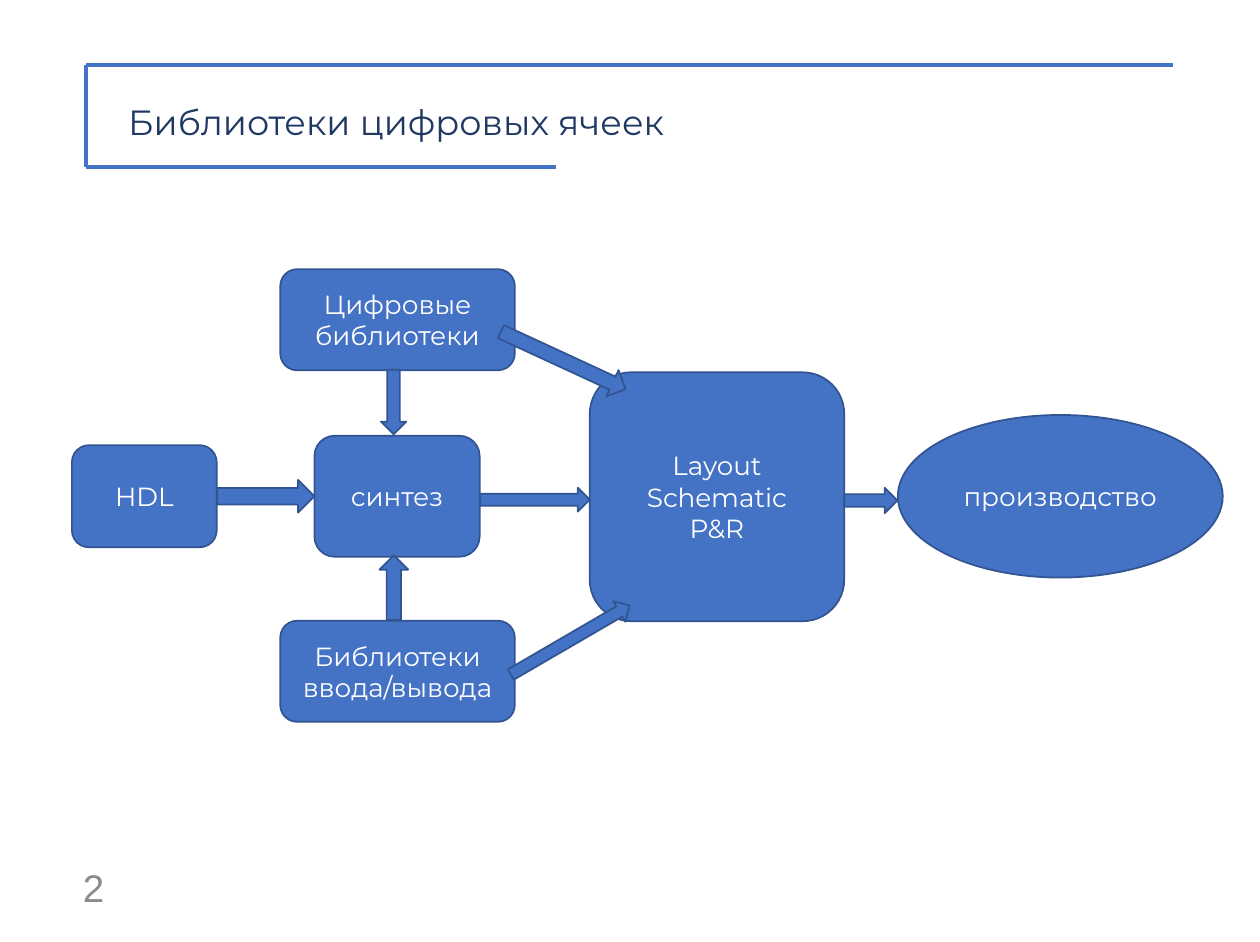
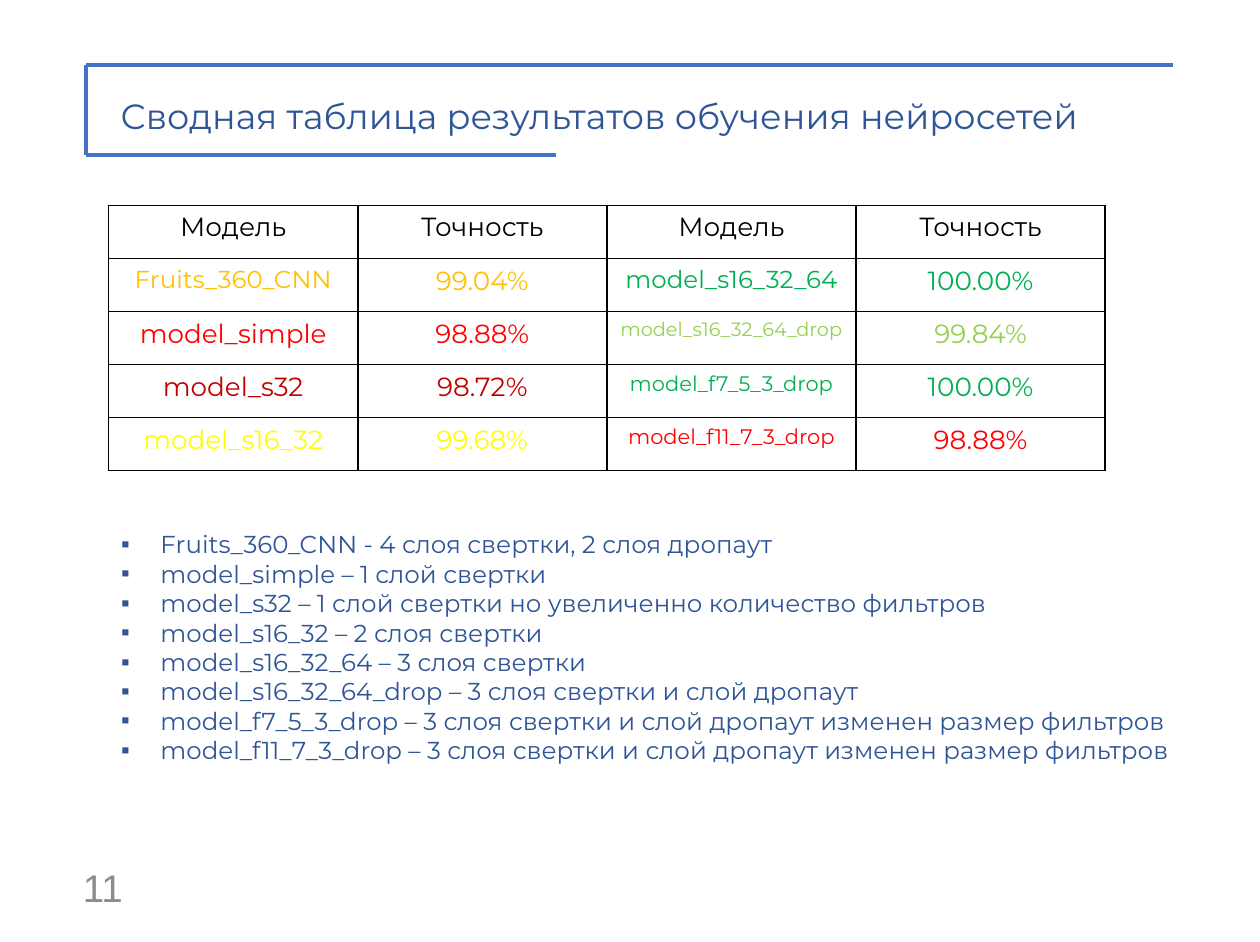
import pptx
import pptx.dml.color
import pptx.enum.shapes
import pptx.enum.text
import pptx.oxml
import pptx.oxml.ns
import pptx.util
from lxml import etree

Cm, Pt = pptx.util.Cm, pptx.util.Pt
RGBColor = pptx.dml.color.RGBColor
SHAPES = pptx.enum.shapes.MSO_SHAPE
ALIGN = pptx.enum.text.PP_ALIGN
ANCHOR = pptx.enum.text.MSO_ANCHOR
qn = pptx.oxml.ns.qn

# Shared look
FONT, NUMBER_FONT = "Montserrat", "Arial"
BLUE = RGBColor(0x44, 0x72, 0xC4)
OUTLINE = RGBColor(0x32, 0x54, 0x91)
NAVY = RGBColor(0x20, 0x38, 0x64)
TEXT_BLUE = RGBColor(0x2F, 0x55, 0x97)
GREY = RGBColor(0x8C, 0x8C, 0x8C)
WHITE = RGBColor(0xFF, 0xFF, 0xFF)
BLACK = RGBColor(0x00, 0x00, 0x00)
AMBER = RGBColor(0xFF, 0xC0, 0x00)
RED = RGBColor(0xFF, 0x00, 0x00)
DARK_RED = RGBColor(0xC0, 0x00, 0x00)
YELLOW = RGBColor(0xFF, 0xFF, 0x00)
GREEN = RGBColor(0x00, 0xB0, 0x50)
LIME = RGBColor(0x92, 0xD0, 0x50)

# Flow chart: shape, (left, top, width, height) in cm, lines of text
LIBRARY_SIZE = (4.73, 2.04)
BLOCKS = [
    (SHAPES.ROUNDED_RECTANGLE, (1.45, 8.98, 2.92, 2.06), ["HDL"]),
    (SHAPES.ROUNDED_RECTANGLE, (6.34, 8.79, 3.33, 2.44), ["синтез"]),
    (SHAPES.ROUNDED_RECTANGLE, (5.65, 5.43, *LIBRARY_SIZE), ["Цифровые библиотеки"]),
    (SHAPES.ROUNDED_RECTANGLE, (5.65, 12.52, *LIBRARY_SIZE), ["Библиотеки ввода/вывода"]),
    (SHAPES.ROUNDED_RECTANGLE, (11.89, 7.51, 5.13, 5.02), ["Layout", "Schematic", "P&R"]),
    (SHAPES.OVAL, (18.1, 8.37, 6.55, 3.28), ["производство"]),
]
# Arrows: shape, place in cm, rotation in degrees
ARROWS = [
    (SHAPES.DOWN_ARROW, (7.68, 7.46, 0.51, 1.3), 0),
    (SHAPES.UP_ARROW, (7.65, 11.2, 0.58, 1.3), 0),
    (SHAPES.RIGHT_ARROW, (4.38, 9.68, 1.96, 0.66), 0),
    (SHAPES.RIGHT_ARROW, (9.97, 6.98, 2.77, 0.58), 24.8),
    (SHAPES.RIGHT_ARROW, (10.11, 12.67, 2.77, 0.48), 329.8),
    (SHAPES.RIGHT_ARROW, (9.68, 9.84, 2.21, 0.48), 0),
    (SHAPES.RIGHT_ARROW, (17.02, 9.84, 1.07, 0.51), 0),
]

# Results: model, name size, accuracy, colour; two models to a table row
HEADER = ("Модель", 15, "Точность", BLACK)
RESULTS = [
    (HEADER, HEADER),
    (("Fruits_360_CNN", 14, "99.04%", AMBER), ("model_s16_32_64", 14, "100.00%", GREEN)),
    (("model_simple", 15, "98.88%", RED), ("model_s16_32_64_drop", 11, "99.84%", LIME)),
    (("model_s32", 15, "98.72%", DARK_RED), ("model_f7_5_3_drop", 12, "100.00%", GREEN)),
    (("model_s16_32", 15, "99.68%", YELLOW), ("model_f11_7_3_drop", 12, "98.88%", RED)),
]
MODEL_NOTES = [
    "Fruits_360_CNN - 4 слоя свертки, 2 слоя дропаут",
    "model_simple – 1 слой свертки",
    "model_s32 – 1 слой свертки но увеличенно количество фильтров",
    "model_s16_32 – 2 слоя свертки",
    "model_s16_32_64 – 3 слоя свертки",
    "model_s16_32_64_drop – 3 слоя свертки и слой дропаут",
    "model_f7_5_3_drop – 3 слоя свертки и слой дропаут изменен размер фильтров",
    "model_f11_7_3_drop – 3 слоя свертки и слой дропаут изменен размер фильтров",
]


def in_cm(place):
    return [Cm(length) for length in place]


def write(frame, lines, size, color, align=ALIGN.LEFT, font=FONT):
    for index, line in enumerate(lines):
        para = frame.paragraphs[0] if index == 0 else frame.add_paragraph()
        para.alignment = align
        span = para.add_run()
        span.text = line
        span.font.name = font
        span.font.size = Pt(size)
        span.font.color.rgb = color


def fill_placeholder(box, place, lines, size, color, wrap):
    box.left, box.top, box.width, box.height = in_cm(place)
    frame = box.text_frame
    frame.auto_size = pptx.enum.text.MSO_AUTO_SIZE.NONE
    frame.word_wrap = wrap
    frame.vertical_anchor = ANCHOR.TOP
    write(frame, lines, size, color)


def add_rule(page, start, end):
    rule = page.shapes.add_connector(
        pptx.enum.shapes.MSO_CONNECTOR.STRAIGHT, *in_cm(start + end))
    rule.line.color.rgb = BLUE
    rule.line.width = Pt(2.25)
    etree.SubElement(rule.element.spPr, qn("a:effectLst"))


def add_page(deck, layout, title, title_place, title_color, frame_bottom, number):
    page = deck.slides.add_slide(deck.slide_layouts[layout])
    # Page number
    box = page.shapes.add_textbox(*in_cm((1.47, 17.39, 1.68, 1.02)))
    box.text_frame.word_wrap = True
    box.text_frame.vertical_anchor = ANCHOR.MIDDLE
    box.text_frame.margin_left = box.text_frame.margin_right = Cm(0.2)
    box.text_frame.margin_top = box.text_frame.margin_bottom = Cm(0.1)
    write(box.text_frame, [number], 22, GREY, font=NUMBER_FONT)
    # Open frame around the title
    left, top = 1.73, 1.31
    add_rule(page, (left, top), (left, frame_bottom))
    add_rule(page, (left, frame_bottom), (11.2, frame_bottom))
    add_rule(page, (left, top), (23.65, top))
    fill_placeholder(page.shapes.title, title_place, [title], 20, title_color, False)
    return page


def add_figure(page, kind, place, lines=(), rotation=0):
    figure = page.shapes.add_shape(kind, *in_cm(place))
    figure.rotation = rotation
    figure.shadow.inherit = False
    figure.fill.solid()
    figure.fill.fore_color.rgb = BLUE
    figure.line.color.rgb = OUTLINE
    figure.line.width = Pt(1)
    figure.text_frame.word_wrap = True
    figure.text_frame.vertical_anchor = ANCHOR.MIDDLE
    write(figure.text_frame, lines, 15, WHITE, ALIGN.CENTER)


def add_borders(cell):
    properties = cell._tc.get_or_add_tcPr()
    for index, side in enumerate(("lnL", "lnR", "lnT", "lnB")):
        border = etree.Element(qn(f"a:{side}"), w=str(Pt(1)))
        fill = etree.SubElement(border, qn("a:solidFill"))
        etree.SubElement(fill, qn("a:srgbClr"), val=str(BLACK))
        properties.insert(index, border)


def add_results_table(page):
    row_height, columns = 1.07, 4
    place = (2.19, 4.14, 20.09, row_height * len(RESULTS))
    table = page.shapes.add_table(len(RESULTS), columns, *in_cm(place)).table
    table.first_row = table.horz_banding = False
    for row, models in enumerate(RESULTS):
        table.rows[row].height = Cm(row_height)
        for pair, (model, size, accuracy, color) in enumerate(models):
            for offset, (text, points) in enumerate(((model, size), (accuracy, 15))):
                cell = table.cell(row, 2 * pair + offset)
                cell.fill.background()
                add_borders(cell)
                write(cell.text_frame, [text], points, color, ALIGN.CENTER)


def add_bullets(frame):
    for para in frame.paragraphs:
        para.space_before = Pt(0)
        properties = para._p.get_or_add_pPr()
        properties.set("marL", str(Cm(0.79)))
        properties.set("indent", str(-Cm(0.79)))
        etree.SubElement(properties, qn("a:buFont"), typeface="Arial")
        etree.SubElement(properties, qn("a:buChar"), char="▪")


def build_flow_page(deck):
    page = add_page(deck, 5, "Библиотеки цифровых ячеек",
                    (2.33, 1.9, 11.43, 1.12), NAVY, 3.37, "2")
    for kind, place, lines in BLOCKS:
        add_figure(page, kind, place, lines)
    for kind, place, rotation in ARROWS:
        add_figure(page, kind, place, rotation=rotation)


def build_results_page(deck):
    page = add_page(deck, 1, "Сводная таблица результатов обучения нейросетей",
                    (2.18, 1.77, 20.09, 1.96), TEXT_BLUE, 3.12, "11")
    add_results_table(page)
    notes = page.placeholders[1]
    fill_placeholder(notes, (2.19, 10.55, 22.61, 5.05), MODEL_NOTES, 14, TEXT_BLUE, True)
    add_bullets(notes.text_frame)


def main():
    deck = pptx.Presentation()
    deck.slide_width = pptx.util.Inches(10)
    deck.slide_height = pptx.util.Inches(7.48)
    build_flow_page(deck)
    build_results_page(deck)
    deck.save("out.pptx")


if __name__ == "__main__":
    main()
